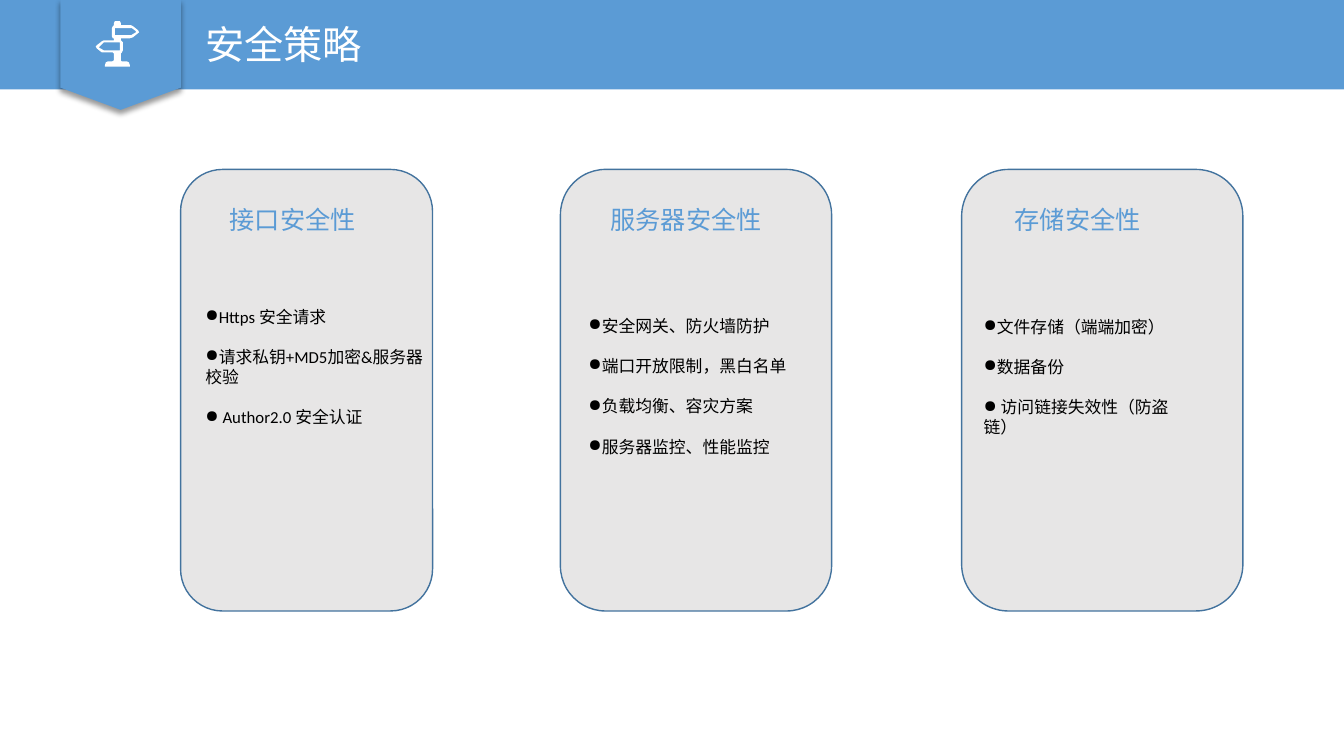
from lxml.etree import SubElement
from pptx import Presentation
from pptx.dml.color import RGBColor
from pptx.enum.shapes import MSO_SHAPE as SHAPE
from pptx.enum.text import MSO_AUTO_SIZE as AUTO
from pptx.oxml import parse_xml
from pptx.oxml.ns import nsdecls, qn
from pptx.util import Pt

BLUE, GREY, EDGE, WHITE, BLACK = "5B9BD5", "E7E6E6", "43739E", "FFFFFF", "000000"
LATIN, CJK = "Calibri", "Noto Sans CJK SC"

TITLE = "安全策略"
# card (left, width), heading left, list (left, top, width), heading, items
CARDS = [
    ((129, 180), 157, (139.7, 215.3, 169.9), "接口安全性",
     ["Https 安全请求", "请求私钥+MD5加密&服务器校验", " Author2.0 安全认证"]),
    ((400.3, 193.7), 429, (413.3, 221.8, 167.8), "服务器安全性",
     ["安全网关、防火墙防护", "端口开放限制，黑白名单", "负载均衡、容灾方案", "服务器监控、性能监控"]),
    ((686.9, 200.9), 717.8, (695.5, 222.5, 166.3), "存储安全性",
     ["文件存储（端端加密）", "数据备份", " 访问链接失效性（防盗链）"]),
]
CARD_TOP, CARD_H = 121, 315.4
HEAD_TOP, HEAD_W, HEAD_H = 142.6, 136.8, 29
LINE = 14.4

# Signpost contours in hundredths of an inch: outline, left board, right board
SIGNPOST = [
    [(137, 30), (132, 26), (130, 25), (120, 25), (120, 23), (119, 21), (114, 21),
     (113, 23), (113, 25), (112, 26), (111, 28), (111, 36), (112, 38), (113, 38),
     (113, 40), (103, 40), (101, 41), (96, 45), (95, 46), (96, 48), (101, 52),
     (103, 52.4), (112, 52.4), (113, 53), (113, 60), (111, 61), (107, 61), (105, 62),
     (104, 65), (104, 66), (129, 66), (129, 65), (128, 62), (126, 61), (121, 61),
     (120, 60), (120, 53), (121, 52), (122, 50), (122, 42), (120, 40), (120, 38),
     (129, 38), (132, 37), (137, 33), (138, 32)],
    [(103, 50), (98, 47), (99, 46), (102, 43), (103, 42), (119, 42), (119, 50)],
    [(130, 35), (114, 35), (114, 28), (130, 28), (131, 28), (135, 31), (135, 32)],
]


def rgb(hex_color):
    """Turn a hex string into a colour."""
    return RGBColor.from_string(hex_color)


def paint(sp, fill, line=None):
    """Set fill and outline, without the theme shadow."""
    sp.shadow.inherit = False
    sp.fill.solid()
    sp.fill.fore_color.rgb = rgb(fill)
    if line:
        sp.line.color.rgb = rgb(line)
        sp.line.width = Pt(1)
    else:
        sp.line.fill.background()
    return sp


def add_box(shapes, kind, box, fill, line=None):
    """Add a painted preset shape; box is left, top, width, height."""
    return paint(shapes.add_shape(kind, *map(Pt, box)), fill, line)


def add_text(shapes, lines, box, size=12, color=BLACK, font=LATIN,
             bullet=None, gap=0, wrap=True):
    """Add a text box with one paragraph per line."""
    sp = shapes.add_textbox(*map(Pt, box))
    tf = sp.text_frame
    tf.word_wrap = wrap
    tf.auto_size = AUTO.SHAPE_TO_FIT_TEXT
    for i, line in enumerate(lines):
        p = tf.add_paragraph() if i else tf.paragraphs[0]
        if i:
            p.space_before = Pt(gap)
        if bullet:
            SubElement(p._p.get_or_add_pPr(), qn("a:buChar")).set("char", bullet)
        r = p.add_run()
        r.text = line
        r.font.size = Pt(size)
        r.font.color.rgb = rgb(color)
        r.font.name = font
        SubElement(r.font._element, qn("a:ea")).set("typeface", CJK)
    return sp


def add_shadow(sp):
    """Cast a soft shadow straight down."""
    effects = sp._element.spPr.find(qn("a:effectLst"))
    effects.append(parse_xml(
        f'<a:outerShdw {nsdecls("a")} blurRad="{Pt(4)}" dist="{Pt(3)}" dir="5400000" '
        'algn="t" rotWithShape="0"><a:srgbClr val="000000"><a:alpha val="40000"/>'
        '</a:srgbClr></a:outerShdw>'))


def add_signpost(shapes):
    """Draw the signpost with its two boards cut out."""
    builder = shapes.build_freeform(*SIGNPOST[0][0], scale=Pt(0.72))
    for i, contour in enumerate(SIGNPOST):
        if i:
            builder.move_to(*contour[0])
        builder.add_line_segments(contour[1:], close=True)
    paint(builder.convert_to_shape(), WHITE)


prs = Presentation()
prs.slide_width, prs.slide_height = Pt(960), Pt(540)
s = prs.slides.add_slide(prs.slide_layouts[6])

add_box(s.shapes, SHAPE.RECTANGLE, (-0.7, -0.7, 961.4, 64.6), BLUE)
add_shadow(add_box(s.shapes, SHAPE.FLOWCHART_OFFPAGE_CONNECTOR,
                   (43.2, -0.7, 86, 79.2), BLUE))
add_signpost(s.shapes)
add_text(s.shapes, [TITLE], (139.7, 10.8, 126.7, 41), size=28, color=WHITE,
         font=CJK, wrap=False)

for (left, width), head_left, (x, y, w), heading, items in CARDS:
    card = s.shapes.add_group_shape().shapes
    add_box(card, SHAPE.FLOWCHART_ALTERNATE_PROCESS,
            (left, CARD_TOP, width, CARD_H), GREY, EDGE)
    add_text(card, items, (x, y, w, 2 * LINE * len(items)), bullet="●", gap=LINE)
    add_text(card, [heading], (head_left, HEAD_TOP, HEAD_W, HEAD_H), size=18, color=BLUE)

prs.save("out.pptx")
